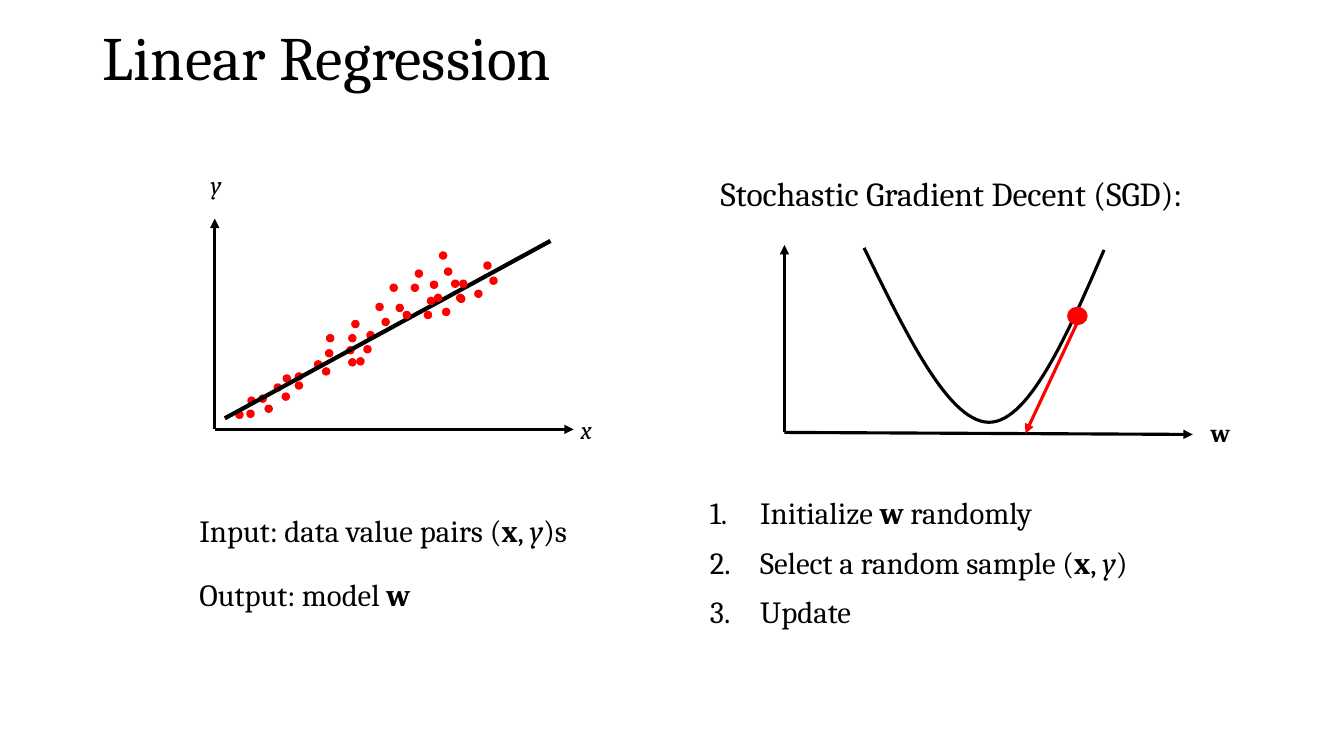
from pptx import Presentation
from pptx.dml.color import RGBColor
from pptx.enum import shapes, text
from pptx.util import Inches, Pt
from lxml import etree
from pptx.oxml.ns import qn

BLACK, RED = "000000", "FF0000"

prs = Presentation()
prs.slide_width, prs.slide_height = Inches(13.33), Inches(7.5)
s = prs.slides.add_slide(prs.slide_layouts[1])


def write(p, size, *pieces):
    for piece, style in pieces:
        r = p.add_run()
        r.text = piece
        r.font.name, r.font.size = "Cambria", Pt(size)
        r.font.bold, r.font.italic = style == "b", style == "i"
        r.font.color.rgb = RGBColor.from_string(BLACK)


def line(start, end, color, width, arrow=True):
    c = s.shapes.add_connector(shapes.MSO_CONNECTOR.STRAIGHT, *map(Inches, start + end))
    c.line.color.rgb = RGBColor.from_string(color)
    c.line.width = Pt(width)
    if arrow:
        etree.SubElement(c.line._get_or_add_ln(), qn("a:tailEnd"), type="triangle")
    etree.SubElement(c._element.spPr, qn("a:effectLst"))


title = s.shapes.title
title.left, title.top, title.width, title.height = map(Inches, (0.92, 0, 11.5, 1.21))
tf = title.text_frame
tf.vertical_anchor = text.MSO_ANCHOR.MIDDLE
tf.paragraphs[0].alignment = text.PP_ALIGN.LEFT
tf.paragraphs[0].line_spacing = 0.9
write(tf.paragraphs[0], 44, ("Linear Regression", ""))

steps = [
    [("Initialize ", ""), ("w", "b"), (" randomly", "")],
    [("Select a random sample (", ""), ("x", "b"), (", ", ""), ("y", "i"), (")", "")],
    [("Update", "")],
]
body = s.placeholders[1]
body.left, body.top, body.width, body.height = map(Inches, (6.94, 4.85, 5.34, 1.92))
tf = body.text_frame
tf.auto_size = text.MSO_AUTO_SIZE.NONE
tf.vertical_anchor = text.MSO_ANCHOR.TOP
for i, step in enumerate(steps):
    p = tf.add_paragraph() if i else tf.paragraphs[0]
    pPr = p._p.get_or_add_pPr()
    pPr.set("marL", str(Inches(0.5)))
    pPr.set("indent", str(Inches(-0.5)))
    etree.SubElement(pPr, qn("a:buFont"), typeface="Cambria")
    etree.SubElement(pPr, qn("a:buAutoNum"), type="arabicPeriod")
    p.alignment = text.PP_ALIGN.LEFT
    p.space_before = Pt(9 if i else 0)
    write(p, 22, *step)

labels = [
    (5.66, 4.06, 0.53, 0.4, 18, [("x", "i")]),
    (1.99, 1.63, 0.53, 0.4, 18, [("y", "i")]),
    (11.91, 4.09, 0.42, 0.4, 18, [("w", "b")]),
    (7.05, 1.67, 5.37, 0.5, 24, [("Stochastic Gradient Decent (SGD):", "")]),
    (1.88, 5.03, 5.41, 0.47, 22,
     [("Input: data value pairs (", ""), ("x", "b"), (", ", ""), ("y", "i"), (")s", "")]),
    (1.88, 5.66, 2.75, 0.47, 22, [("Output: model ", ""), ("w", "b")]),
]
for x, y, w, h, size, pieces in labels:
    tf = s.shapes.add_textbox(*map(Inches, (x, y, w, h))).text_frame
    tf.word_wrap = True
    write(tf.paragraphs[0], size, *pieces)

line((2.13, 4.26), (5.69, 4.26), BLACK, 2.25)
line((2.13, 4.26), (2.13, 2.17), BLACK, 2.25)
line((7.78, 4.29), (11.83, 4.31), BLACK, 2.25)
line((7.78, 4.29), (7.78, 2.43), BLACK, 2.25)

valley = [
    [(8.57, 2.46), (8.99, 3.32), (9.41, 4.19), (9.81, 4.19)],
    [(9.81, 4.19), (10.2, 4.19), (10.58, 3.34), (10.95, 2.48)],
]
points = []
for a, b, c, d in valley:
    for step in range(1, 31):
        t = step / 30
        points.append([
            Inches((1 - t) ** 3 * a[k] + 3 * (1 - t) ** 2 * t * b[k]
                   + 3 * (1 - t) * t ** 2 * c[k] + t ** 3 * d[k])
            for k in (0, 1)
        ])
builder = s.shapes.build_freeform(*map(Inches, valley[0][0]))
builder.add_line_segments(points, close=False)
curve = builder.convert_to_shape()
curve.shadow.inherit = False
curve.fill.background()
curve.line.color.rgb = RGBColor.from_string(BLACK)
curve.line.width = Pt(2.25)

lower_dots = [
    (3.61, 3.43), (2.34, 4.08), (3.79, 3.16), (2.46, 3.94), (2.57, 3.92), (2.63, 4.02),
    (2.72, 3.81), (2.8, 3.9), (2.81, 3.72), (2.93, 3.79), (2.93, 3.7), (3.2, 3.65),
    (3.44, 3.44), (3.24, 3.32), (3.23, 3.47), (3.46, 3.32), (3.54, 3.55), (3.46, 3.56),
    (3.64, 3.29), (3.49, 3.18), (3.12, 3.58), (3.93, 3.02), (2.45, 4.07), (3.73, 3.01),
]
upper_dots = [
    (4.41, 2.66), (3.87, 2.82), (4.08, 2.82), (4.27, 2.79), (4.12, 2.68), (4.36, 2.5),
    (4.86, 2.75), (4.31, 2.92), (4.53, 2.92), (4.71, 2.88), (4.56, 2.78), (4.8, 2.6),
    (4.54, 2.93), (4, 3.09), (4.21, 3.09), (4.39, 3.06), (4.24, 2.95), (4.48, 2.78),
]
dots = [(x, y, 0.07, 0.07) for x, y in lower_dots + upper_dots]
dots.append((10.59, 3.05, 0.19, 0.17))
for i, box in enumerate(dots):
    if i == len(lower_dots):
        line((2.23, 4.15), (5.46, 2.39), BLACK, 3, arrow=False)
    sp = s.shapes.add_shape(shapes.MSO_SHAPE.OVAL, *map(Inches, box))
    sp.shadow.inherit = False
    sp.fill.solid()
    sp.fill.fore_color.rgb = RGBColor.from_string(RED)
    sp.line.color.rgb = RGBColor.from_string(RED)
    sp.line.width = Pt(1)

line((10.69, 3.19), (10.17, 4.3), RED, 2.25)

prs.save("out.pptx")
